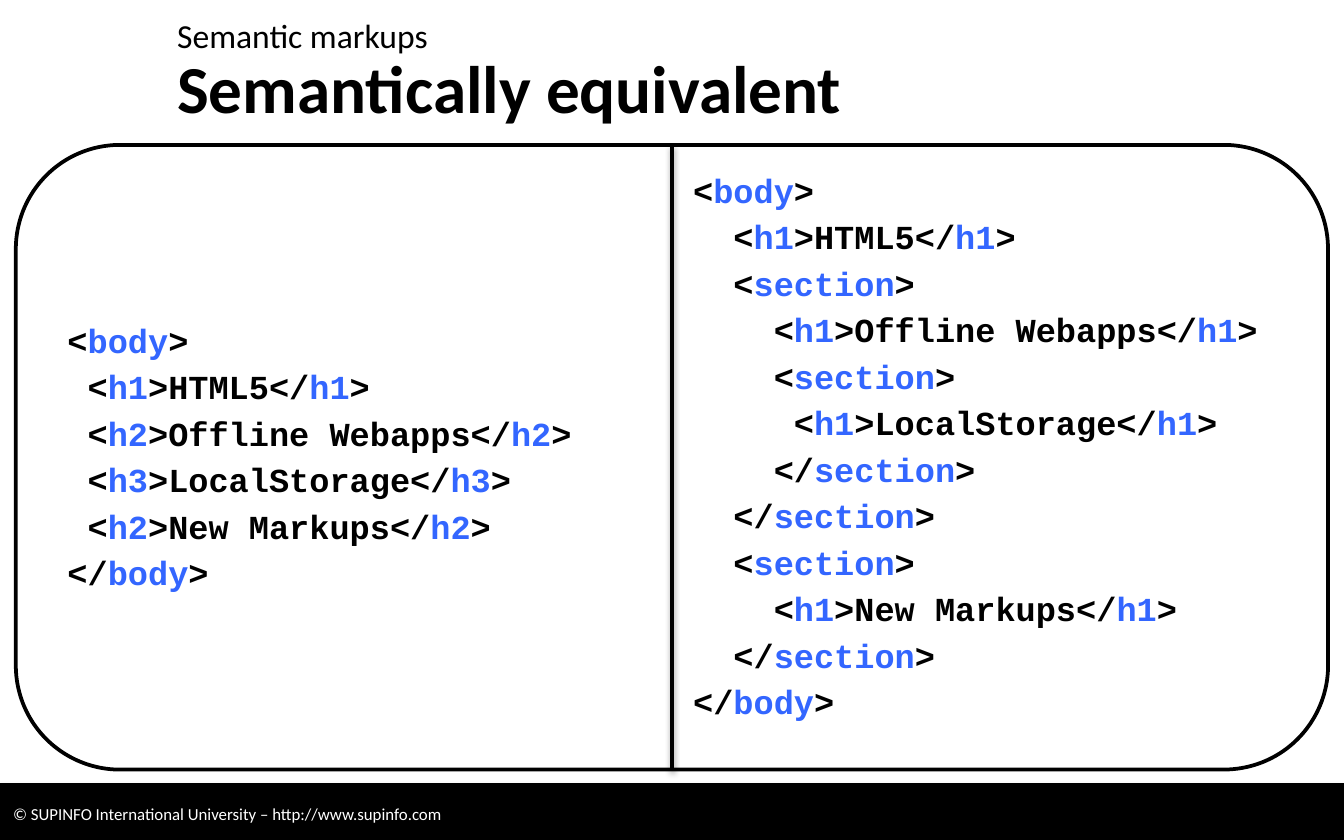
from lxml import etree
from pptx import Presentation
from pptx.dml.color import RGBColor
from pptx.enum.shapes import MSO_CONNECTOR, MSO_SHAPE
from pptx.enum.text import MSO_ANCHOR, PP_ALIGN
from pptx.oxml.ns import qn
from pptx.util import Cm, Pt

RECT, ROUNDED = MSO_SHAPE.RECTANGLE, MSO_SHAPE.ROUNDED_RECTANGLE
STRAIGHT = MSO_CONNECTOR.STRAIGHT
TOP, MIDDLE = MSO_ANCHOR.TOP, MSO_ANCHOR.MIDDLE
LEFT = PP_ALIGN.LEFT
TOP_SITE, BOTTOM_SITE = 0, 2

TOPIC = "Semantic markups"
TITLE = "Semantically equivalent"
COPYRIGHT = "© SUPINFO International University – http://www.supinfo.com"
HEADINGS_CODE = [
    "<body>",
    " <h1>HTML5</h1>",
    " <h2>Offline Webapps</h2>",
    " <h3>LocalStorage</h3>",
    " <h2>New Markups</h2>",
    "</body>",
]
SECTIONS_CODE = [
    "<body>",
    "  <h1>HTML5</h1>",
    "  <section>",
    "    <h1>Offline Webapps</h1>",
    "    <section>",
    "     <h1>LocalStorage</h1>",
    "    </section>",
    "  </section>",
    "  <section>",
    "    <h1>New Markups</h1>",
    "  </section>",
    "</body>",
]

BLACK, WHITE = RGBColor(0, 0, 0), RGBColor(255, 255, 255)
THEME = {
    "line": BLACK,
    "panel": WHITE,
    "footer": BLACK,
    "tag": RGBColor(0x33, 0x66, 0xFF),
    "topic_font": {"name": "Calibri", "size": Pt(18), "bold": False},
    "title_font": {"name": "Calibri", "size": Pt(36), "bold": True},
    "footer_font": {"name": "Calibri", "size": Pt(9), "bold": False},
    "code_font": {"name": "Courier New", "size": Pt(18), "bold": True},
    "code_spacing": {"line_spacing": 0.7, "space_after": Pt(5.9), "alignment": LEFT},
    "code_gap": Pt(3.9),
}

SLIDE_W, SLIDE_H = Cm(25.4), Cm(15.88)
HEAD_LEFT, HEAD_W = Cm(3.1), Cm(21.62)
PANEL_LEFT, PANEL_TOP, PANEL_H = Cm(0.3), Cm(2.74), Cm(11.81)
PANEL_W = SLIDE_W - 2 * PANEL_LEFT
FOOTER_TOP, FOOTER_H = Cm(14.81), Cm(1.14)
CODE_MARGIN, CODE_HANG = Cm(1.12), Cm(-0.97)


def apply(target, values):
    for name, value in values.items():
        setattr(target, name, value)


def add_run(paragraph, text, font, color):
    run = paragraph.add_run()
    run.text = text
    apply(run.font, font)
    run.font.color.rgb = color


def add_block(slide, kind, box, fill, line_width):
    block = slide.shapes.add_shape(kind, *box)
    block.fill.solid()
    block.fill.fore_color.rgb = fill
    block.line.color.rgb = THEME["line"]
    block.line.width = line_width
    return block


def cast_shadow(part, color, opacity, distance):
    """Give a shape or connector a soft shadow falling straight down."""
    effects = etree.SubElement(part._element.spPr, qn("a:effectLst"))
    shadow = etree.SubElement(
        effects, qn("a:outerShdw"), blurRad=str(Pt(3.1)),
        dist=str(distance), dir="5400000", rotWithShape="0")
    shade = etree.SubElement(shadow, qn("a:srgbClr"), val=color)
    etree.SubElement(shade, qn("a:alpha"), val=str(opacity * 1000))


def write_line(frame, text, font, color, anchor):
    apply(frame, {"word_wrap": True, "vertical_anchor": anchor})
    paragraph = frame.paragraphs[0]
    paragraph.alignment = LEFT
    add_run(paragraph, text, font, color)


def write_code(frame, lines, anchor):
    """Write one paragraph per line, with tag names in the tag colour."""
    apply(frame, {"word_wrap": True, "vertical_anchor": anchor})
    for number, line in enumerate(lines):
        paragraph = frame.add_paragraph() if number else frame.paragraphs[0]
        properties = paragraph._p.get_or_add_pPr()
        properties.set("marL", str(CODE_MARGIN))
        properties.set("indent", str(CODE_HANG))
        apply(paragraph, THEME["code_spacing"])
        paragraph.space_before = THEME["code_gap"] if number else Pt(0)
        marked = line.replace("<", "<|").replace("<|/", "</|").replace(">", "|>")
        for index, token in enumerate(marked.split("|")):
            color = THEME["tag"] if index % 2 else BLACK
            add_run(paragraph, token, THEME["code_font"], color)


def main():
    deck = Presentation()
    deck.slide_width, deck.slide_height = SLIDE_W, SLIDE_H
    slide = deck.slides.add_slide(deck.slide_layouts[6])

    footer = add_block(slide, RECT, (0, FOOTER_TOP, SLIDE_W, FOOTER_H),
                       THEME["footer"], Pt(0.75))
    cast_shadow(footer, "808080", 35, Pt(1.8))
    write_line(footer.text_frame, COPYRIGHT, THEME["footer_font"], WHITE, MIDDLE)

    title = slide.shapes.add_textbox(HEAD_LEFT, Cm(0.94), HEAD_W, Cm(1.4))
    write_line(title.text_frame, TITLE, THEME["title_font"], BLACK, MIDDLE)
    topic = slide.shapes.add_textbox(HEAD_LEFT, Cm(0.15), HEAD_W, Cm(0.94))
    write_line(topic.text_frame, TOPIC, THEME["topic_font"], BLACK, TOP)

    panel = add_block(slide, ROUNDED, (PANEL_LEFT, PANEL_TOP, PANEL_W, PANEL_H),
                      THEME["panel"], Pt(2))
    panel.shadow.inherit = False
    panel.text_frame.margin_top = Cm(0.26)
    write_code(panel.text_frame, HEADINGS_CODE, MIDDLE)

    divider = slide.shapes.add_connector(STRAIGHT, 0, 0, 0, 0)
    divider.begin_connect(panel, TOP_SITE)
    divider.end_connect(panel, BOTTOM_SITE)
    divider.line.color.rgb = THEME["line"]
    divider.line.width = Pt(2)
    cast_shadow(divider, "000000", 38, Pt(1.6))

    sections = slide.shapes.add_textbox(SLIDE_W // 2, Cm(3.29), PANEL_W // 2, Cm(11.2))
    write_code(sections.text_frame, SECTIONS_CODE, TOP)

    deck.save("out.pptx")


if __name__ == "__main__":
    main()
